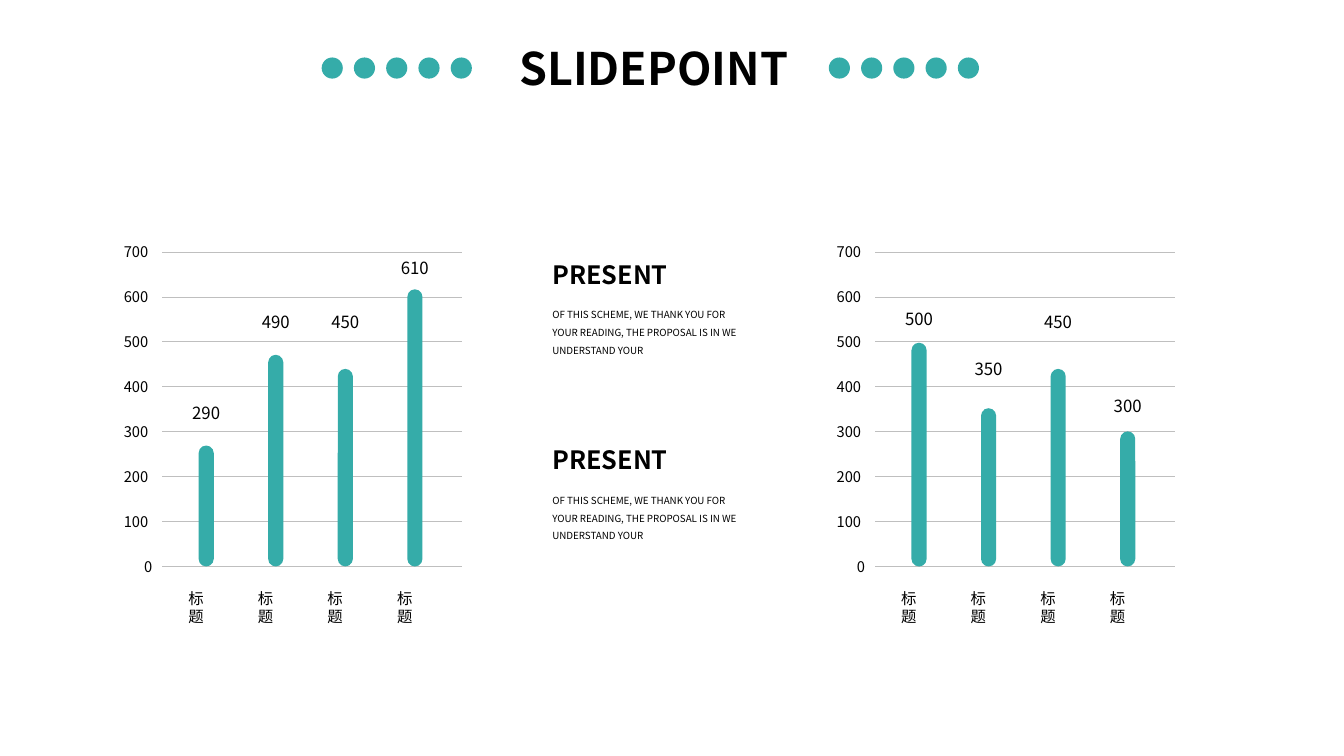
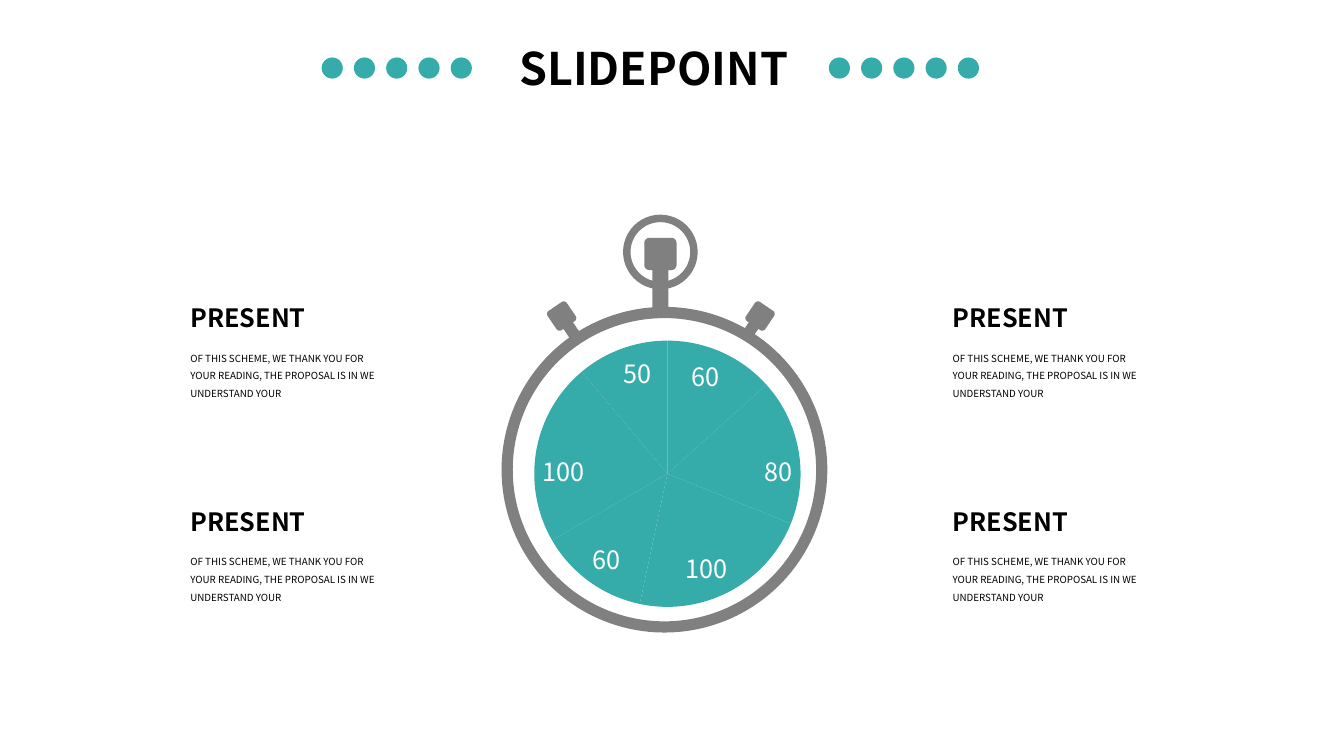
from dataclasses import dataclass
from math import cos, pi, sin

from lxml.etree import SubElement
from pptx import Presentation
from pptx.chart.data import CategoryChartData
from pptx.dml.color import RGBColor
from pptx.enum.chart import XL_CHART_TYPE as ChartType, XL_LABEL_POSITION as LabelPosition
from pptx.enum.shapes import MSO_CONNECTOR as Connector, MSO_SHAPE as Preset
from pptx.enum.text import PP_ALIGN as Align
from pptx.oxml import parse_xml
from pptx.oxml.ns import nsdecls, qn
from pptx.util import Inches, Pt


@dataclass(frozen=True)
class Theme:
    font: str = "Noto Sans CJK JP"
    teal: RGBColor = RGBColor(0x35, 0xAC, 0xA9)
    metal: RGBColor = RGBColor(0x80, 0x80, 0x80)
    grid: RGBColor = RGBColor(0xBF, 0xBF, 0xBF)
    ink: RGBColor = RGBColor(0, 0, 0)
    white: RGBColor = RGBColor(0xFF, 0xFF, 0xFF)
    title: float = 32
    heading: float = 18
    body: float = 7
    tick: float = 10.5
    category: float = 11
    value: float = 12
    dial: float = 18


TITLE = "SLIDEPOINT"
HEADING = "PRESENT"
BODY = "OF THIS SCHEME, WE THANK YOU FOR YOUR READING, THE PROPOSAL IS IN WE UNDERSTAND YOUR"
CATEGORY = "标题"
GRID_TOP, GRID_BOTTOM, TOP_TICK = 2.5, 5.62, 700
BAR_WIDTH, BAR_PITCH = 0.15, 0.69


class Deck:
    """Draws the elements of the presentation on its current slide."""

    def __init__(self, theme):
        self.theme = theme
        self.presentation = Presentation()
        self.presentation.slide_width = Inches(13.33)
        self.presentation.slide_height = Inches(7.5)

    def new_slide(self):
        self.slide = self.presentation.slides.add_slide(self.presentation.slide_layouts[6])
        self.text(TITLE, 4.85, 0.36, 3.27, 0.64, self.theme.title, bold=True, align=Align.CENTER)
        for row_left in (3.19, 8.22):
            for step in range(5):
                self.shape(Preset.OVAL, row_left + 0.32 * step, 0.57, 0.21, 0.21, self.theme.teal)

    def text(self, words, left, top, width, height, size, bold=False, align=Align.LEFT, spacing=None):
        frame = self.slide.shapes.add_textbox(
            Inches(left), Inches(top), Inches(width), Inches(height)).text_frame
        frame.word_wrap = True
        frame.text = words
        paragraph = frame.paragraphs[0]
        paragraph.alignment = align
        paragraph.line_spacing = spacing
        run = paragraph.runs[0]
        run.font.size = Pt(size)
        run.font.bold = bold
        run.font.name = self.theme.font
        run.font.color.rgb = self.theme.ink
        SubElement(run._r.get_or_add_rPr(), qn("a:ea"), typeface=self.theme.font)

    def paint(self, shape, fill):
        shape.shadow.inherit = False
        shape.fill.solid()
        shape.fill.fore_color.rgb = fill
        shape.line.fill.background()
        return shape

    def shape(self, preset, left, top, width, height, fill, roundness=None):
        shape = self.slide.shapes.add_shape(
            preset, Inches(left), Inches(top), Inches(width), Inches(height))
        if roundness is not None:
            shape.adjustments[0] = roundness
        return self.paint(shape, fill)

    def gridline(self, left, right, height):
        gridline = self.slide.shapes.add_connector(
            Connector.STRAIGHT, Inches(left), Inches(height), Inches(right), Inches(height))
        gridline.line.color.rgb = self.theme.grid
        gridline.line.width = Pt(0.5)
        SubElement(gridline._element.spPr, qn("a:effectLst"))

    def message(self, left, top):
        self.text(HEADING, left, top, 1.6, 0.4, self.theme.heading, bold=True)
        self.text(BODY, left, top + 0.44, 2.11, 0.61, self.theme.body, spacing=1.5)

    def bar_panel(self, left, bars):
        for tick in range(0, TOP_TICK + 1, 100):
            height = GRID_BOTTOM - (GRID_BOTTOM - GRID_TOP) * tick / TOP_TICK
            self.gridline(left, left + 2.97, height)
            indent = 0.48 if tick else 0.28
            self.text(str(tick), left - indent, height - 0.14, 0.55, 0.28, self.theme.tick)
        for column, (value, bar_top, value_top) in enumerate(bars):
            bar_left = left + 0.36 + BAR_PITCH * column
            self.shape(Preset.ROUNDED_RECTANGLE, bar_left, bar_top, BAR_WIDTH,
                       GRID_BOTTOM - bar_top, self.theme.teal, 0.5)
            self.text(str(value), bar_left + BAR_WIDTH / 2 - 0.3, value_top, 0.6, 0.29,
                      self.theme.value, align=Align.CENTER)
            self.text(CATEGORY, bar_left - 0.2, 5.79, 0.4, 0.48, self.theme.category)

    def knob(self, left, top, cap, height, rotation=0):
        radius, stem = 0.16 * cap, cap / 4
        corners = ((cap - radius, radius, -pi / 2), (cap - radius, cap - radius, 0),
                   (radius, cap - radius, pi / 2), (radius, radius, pi))
        arcs = [[(x + radius * cos(start + step * pi / 12), y + radius * sin(start + step * pi / 12))
                 for step in range(7)] for x, y, start in corners]
        foot = [(cap / 2 + stem, cap), (cap / 2 + stem, height),
                (cap / 2 - stem, height), (cap / 2 - stem, cap)]
        outline = [(Inches(left + x), Inches(top + y))
                   for x, y in arcs[0] + arcs[1] + foot + arcs[2] + arcs[3]]
        builder = self.slide.shapes.build_freeform(*outline[0])
        builder.add_line_segments(outline[1:], close=True)
        self.paint(builder.convert_to_shape(), self.theme.metal).rotation = rotation

    def dial(self, values):
        data = CategoryChartData()
        data.categories = [str(number + 1) for number in range(len(values))]
        data.add_series("Series 1", values)
        chart = self.slide.shapes.add_chart(
            ChartType.PIE, Inches(3.94), Inches(2.88), Inches(5.36), Inches(3.57), data).chart
        chart.has_legend = False
        chart.has_title = False
        chart.font.name = self.theme.font
        chart.font.size = Pt(self.theme.dial)
        chart.font.color.rgb = self.theme.ink
        plot = chart.plots[0]
        plot.vary_by_categories = False
        for index in range(len(values)):
            sector = plot.series[0].points[index].format
            sector.fill.solid()
            sector.fill.fore_color.rgb = self.theme.teal
            sector.line.fill.background()
        plot.has_data_labels = True
        labels = plot.data_labels
        labels.show_value = True
        labels.show_percentage = False
        labels.position = LabelPosition.INSIDE_END
        labels.font.name = self.theme.font
        labels.font.size = Pt(self.theme.dial)
        labels.font.color.rgb = self.theme.white
        area = chart._chartSpace.find(".//" + qn("c:plotArea"))
        for layout in area.findall(qn("c:layout")):
            area.remove(layout)
        places = "".join(f'<c:{name} val="{value}"/>' for name, value in (
            ("layoutTarget", "inner"), ("xMode", "edge"), ("yMode", "edge"),
            ("x", 0.25), ("y", 0.14), ("w", 0.5), ("h", 0.74)))
        area.insert(0, parse_xml(
            f'<c:layout {nsdecls("c")}><c:manualLayout>{places}</c:manualLayout></c:layout>'))

    def stopwatch(self, values):
        rim = self.shape(Preset.OVAL, 5.03, 3.1, 3.12, 3.12, self.theme.white)
        rim.line.color.rgb = self.theme.metal
        rim.line.width = Pt(8)
        self.knob(7.39, 3.01, 0.23, 0.35, 34.2)
        self.knob(5.49, 3.01, 0.23, 0.35, -34.2)
        self.knob(6.39, 2.36, 0.32, 0.74)
        self.shape(Preset.DONUT, 6.18, 2.13, 0.74, 0.74, self.theme.metal, 0.1)
        self.dial(values)


def main():
    deck = Deck(Theme())

    deck.new_slide()
    deck.bar_panel(1.61, [(290, 4.42, 3.95), (490, 3.52, 3.04), (450, 3.66, 3.04), (610, 2.87, 2.51)])
    deck.bar_panel(8.68, [(500, 3.4, 3.01), (350, 4.05, 3.51), (450, 3.66, 3.04), (300, 4.28, 3.88)])
    for top in (2.52, 4.36):
        deck.message(5.38, top)

    deck.new_slide()
    deck.stopwatch([60, 80, 100, 60, 100, 50])
    for left in (1.79, 9.35):
        for top in (2.95, 4.97):
            deck.message(left, top)

    deck.presentation.save("out.pptx")


if __name__ == "__main__":
    main()
